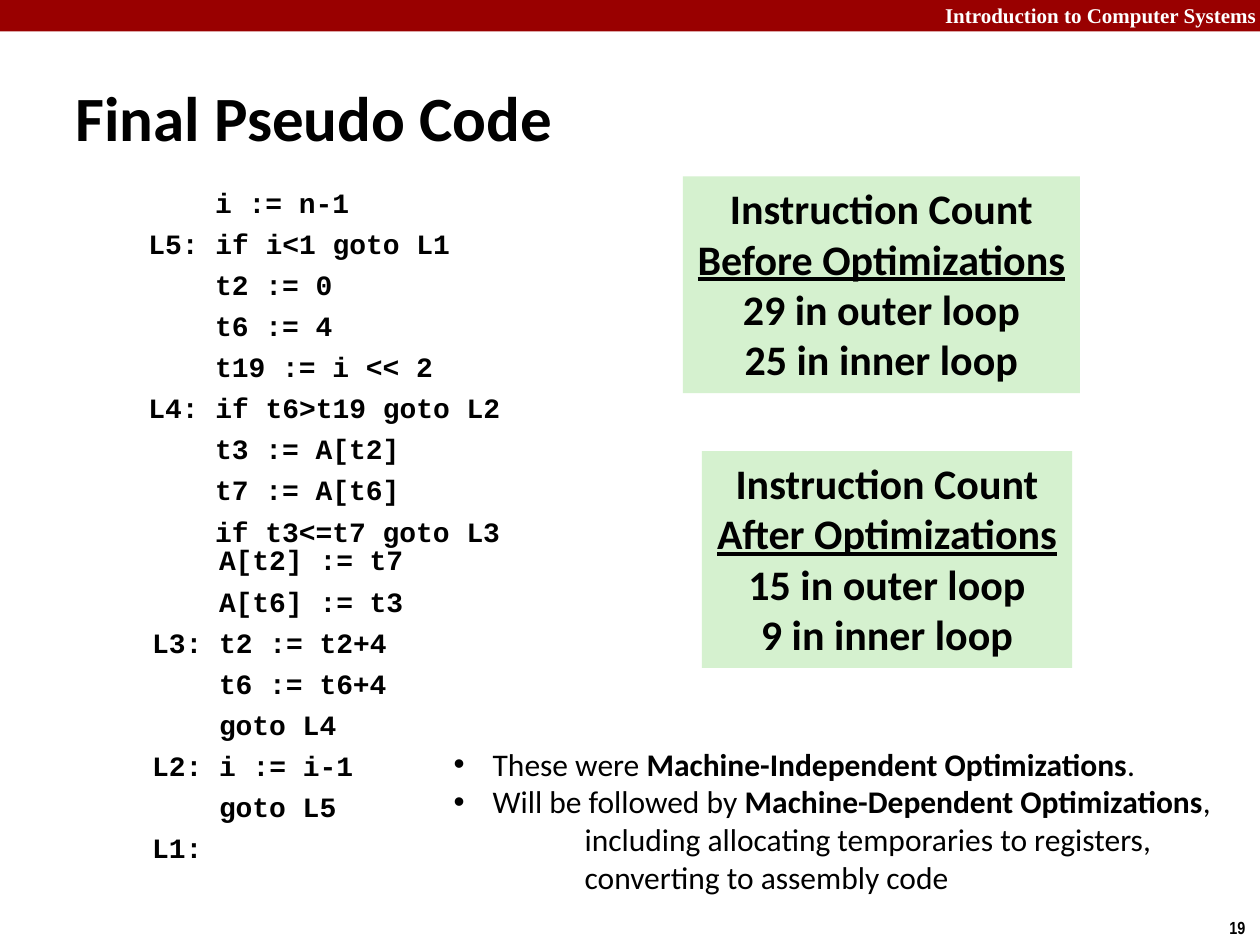
from dataclasses import dataclass

from pptx import Presentation
from pptx.dml.color import RGBColor
from pptx.enum import shapes, text
from pptx.util import Inches, Pt


@dataclass(frozen=True)
class Theme:
    banner: str = "990000"
    card: str = "D5F1CF"
    ink: str = "000000"
    paper: str = "FFFFFF"
    sans: str = "Calibri"
    title: int = 36
    count: int = 24
    bullet: int = 18
    code: int = 16


THEME = Theme()
CODE_INDENT = 0.53  # four monospaced characters
CODE_START = ["i := n-1", "L5: if i<1 goto L1", "t2 := 0", "t6 := 4",
              "t19 := i << 2", "L4: if t6>t19 goto L2", "t3 := A[t2]",
              "t7 := A[t6]", "if t3<=t7 goto L3"]
CODE_END = ["A[t2] := t7", "A[t6] := t3", "L3: t2 := t2+4", "t6 := t6+4",
            "goto L4", "L2: i := i-1", "goto L5", "L1:"]
COUNTS = [
    ((5.42, 1.4, 3.15, 1.72), "Before Optimizations", 29, 25),
    ((5.57, 3.58, 2.94, 1.72), "After Optimizations", 15, 9),
]


def apply_format(target, **values):
    for name, value in values.items():
        setattr(target, name, value)


def place(shape, box):
    for name, value in zip(("left", "top", "width", "height"), box):
        setattr(shape, name, Inches(value))


def add_run(paragraph, wording, size, font=THEME.sans, color=THEME.ink,
            bold=True, underline=False):
    run = paragraph.add_run()
    run.text = wording
    apply_format(run.font, size=Pt(size), name=font, bold=bold,
                 underline=underline)
    run.font.color.rgb = RGBColor.from_string(color)


def set_indent(paragraph, left, first):
    properties = paragraph._p.get_or_add_pPr()
    properties.set("marL", str(Inches(left)))
    properties.set("indent", str(Inches(first)))
    return properties


def paragraphs(frame, count):
    """Return the frame's first paragraph and as many new ones as needed."""
    return [frame.paragraphs[0]] + [frame.add_paragraph() for _ in range(count - 1)]


def add_box(slide, box, fill):
    shape = slide.shapes.add_shape(shapes.MSO_SHAPE.RECTANGLE,
                                   *map(Inches, box))
    shape.shadow.inherit = False
    shape.fill.solid()
    shape.fill.fore_color.rgb = RGBColor.from_string(fill)
    shape.line.fill.background()
    return shape


def add_label(slide, box, wording, wrap=True, align=None, **font):
    frame = slide.shapes.add_textbox(*map(Inches, box)).text_frame
    frame.word_wrap = wrap
    frame.paragraphs[0].alignment = align
    add_run(frame.paragraphs[0], wording, **font)


def add_code(slide, box, lines):
    """Write code lines, hanging the jump labels left of the statements."""
    frame = slide.shapes.add_textbox(*map(Inches, box)).text_frame
    frame.word_wrap = True
    for paragraph, line in zip(paragraphs(frame, len(lines)), lines):
        labelled = line.startswith("L")
        set_indent(paragraph, CODE_INDENT, -CODE_INDENT if labelled else 0)
        paragraph.space_before = Pt(4.3)
        add_run(paragraph, line, THEME.code, "Courier New")


def add_count(slide, box, stage, outer, inner):
    frame = add_box(slide, box, THEME.card).text_frame
    apply_format(frame, word_wrap=False, vertical_anchor=text.MSO_ANCHOR.TOP)
    heading, outer_line, inner_line = paragraphs(frame, 3)
    add_run(heading, "Instruction Count", THEME.count)
    heading.add_line_break()
    add_run(heading, stage, THEME.count, underline=True)
    add_run(outer_line, f"{outer} in outer loop", THEME.count)
    add_run(inner_line, f"{inner} in inner loop", THEME.count)
    for paragraph in frame.paragraphs:
        paragraph.alignment = text.PP_ALIGN.CENTER


def fill_title(title, wording):
    place(title, (0.5, 0.3, 9, 1.25))
    frame = title.text_frame
    apply_format(frame, vertical_anchor=text.MSO_ANCHOR.MIDDLE,
                 auto_size=text.MSO_AUTO_SIZE.NONE)
    frame.paragraphs[0].alignment = text.PP_ALIGN.LEFT
    add_run(frame.paragraphs[0], wording, THEME.title)


def fill_remarks(body):
    place(body, (3.5, 5.86, 6.27, 1.31))
    frame = body.text_frame
    apply_format(frame, word_wrap=False, auto_size=text.MSO_AUTO_SIZE.NONE,
                 vertical_anchor=text.MSO_ANCHOR.TOP)
    bullets = [("These were ", "Machine-Independent Optimizations", "."),
               ("Will be followed by ", "Machine-Dependent Optimizations", ",")]
    details = ["including allocating temporaries to registers,",
               "converting to assembly code"]
    lines = paragraphs(frame, len(bullets) + len(details))
    for paragraph in lines:
        paragraph.space_before = Pt(0)
    for paragraph, (lead, term, mark) in zip(lines, bullets):
        set_indent(paragraph, 0.31, -0.31)
        add_run(paragraph, lead, THEME.bullet, bold=False)
        add_run(paragraph, term, THEME.bullet)
        add_run(paragraph, mark, THEME.bullet, bold=False)
    for paragraph, detail in zip(lines[len(bullets):], details):
        properties = set_indent(paragraph, 1.04, 0)
        properties.append(properties.makeelement(
            "{http://schemas.openxmlformats.org/drawingml/2006/main}buNone"))
        add_run(paragraph, detail, THEME.bullet, bold=False)


def main():
    deck = Presentation()
    apply_format(deck, slide_width=Inches(10), slide_height=Inches(7.5))
    slide = deck.slides.add_slide(deck.slide_layouts[1])
    title, remarks = slide.placeholders

    add_box(slide, (0, 0, 10, 0.25), THEME.banner)
    add_label(slide, (6, -0.03, 4.07, 0.3), "Introduction to Computer Systems",
              align=text.PP_ALIGN.RIGHT, size=12, font="Times New Roman",
              color=THEME.paper)
    add_label(slide, (9.66, 7.23, 0.34, 0.27), "19", wrap=False, size=10,
              font="Arial Narrow")
    fill_title(title, "Final Pseudo Code")
    add_code(slide, (1.08, 1.42, 4.42, 2.92), CODE_START)
    add_code(slide, (1.11, 4.26, 3.42, 2.78), CODE_END)
    for count in COUNTS:
        add_count(slide, *count)
    fill_remarks(remarks)
    deck.save("out.pptx")


if __name__ == "__main__":
    main()
